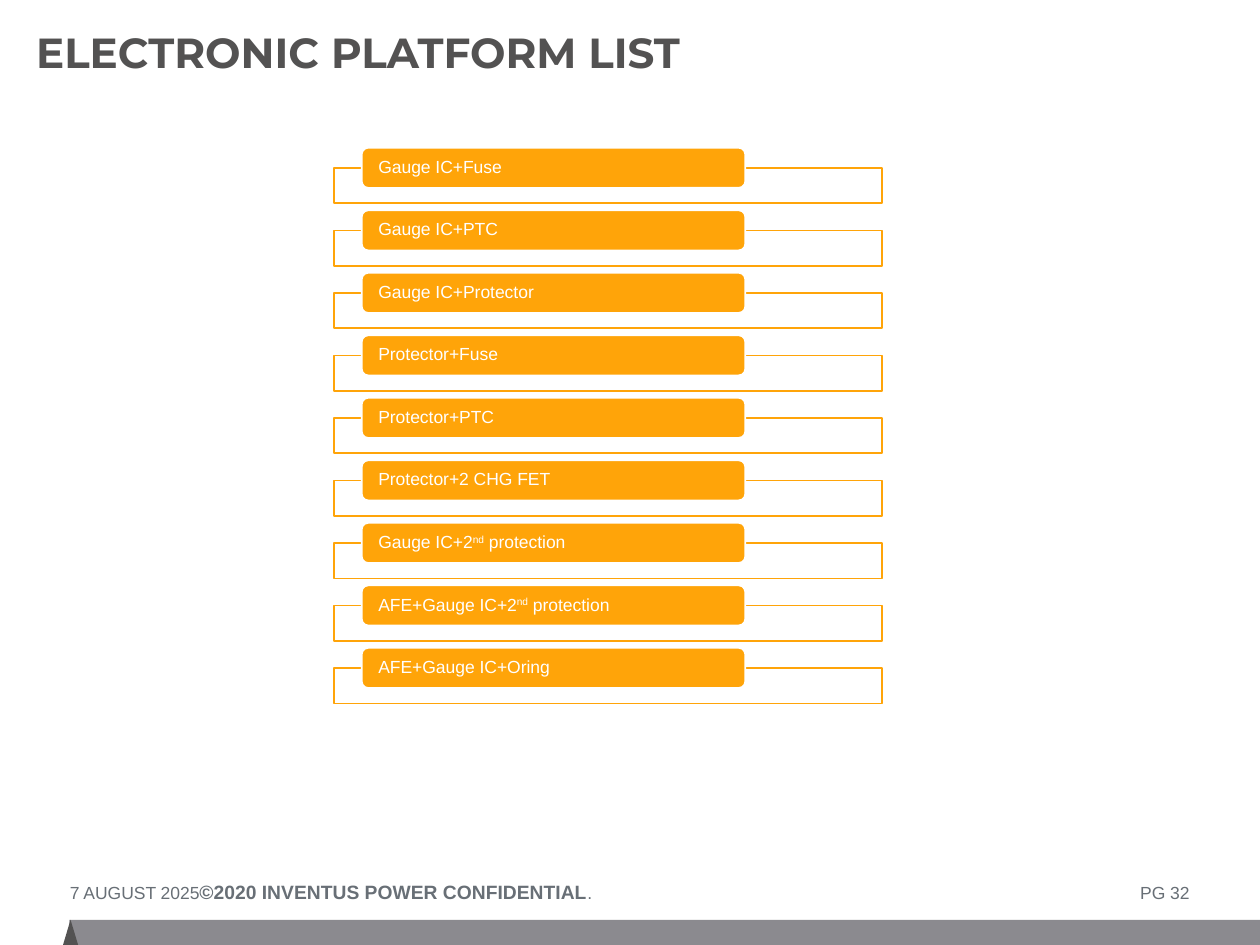
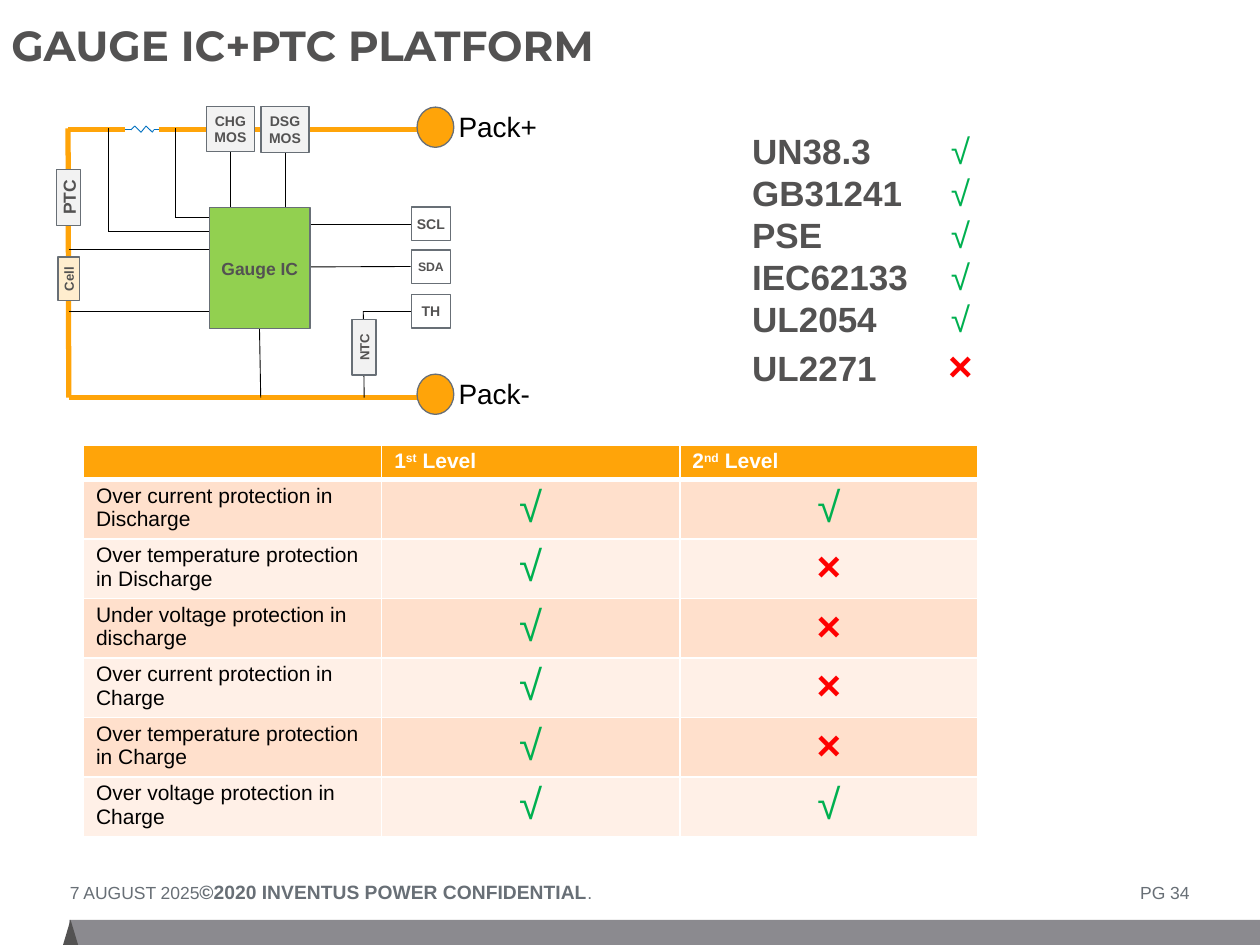
from itertools import pairwise

from lxml import etree
from pptx import Presentation
from pptx.dml.color import RGBColor
from pptx.enum.shapes import MSO_CONNECTOR, MSO_SHAPE
from pptx.enum.text import MSO_ANCHOR, PP_ALIGN
from pptx.oxml.ns import qn
from pptx.util import Pt

RECT, ROUNDED = MSO_SHAPE.RECTANGLE, MSO_SHAPE.ROUNDED_RECTANGLE
OVAL, TRIANGLE = MSO_SHAPE.OVAL, MSO_SHAPE.ISOSCELES_TRIANGLE
STRAIGHT = MSO_CONNECTOR.STRAIGHT
TOP, MIDDLE = MSO_ANCHOR.TOP, MSO_ANCHOR.MIDDLE
LEFT, CENTER = PP_ALIGN.LEFT, PP_ALIGN.CENTER

BODY_FONT, TITLE_FONT = "Arial", "Montserrat"
ORANGE, DARK, SLATE, BAND = "FFA409", "535252", "686F76", "8B8A8F"
WHITE, BLACK, PALE, BLUE = "FFFFFF", "000000", "F2F2F2", "0070C0"
GREEN, RED, CHIP, CELL = "00B050", "FF0000", "92D050", "FFEDCE"
STRIPES = ("FFE0CC", "FFF0E7")
MARKS = {"√": (GREEN, False), "×": (RED, True)}

PLATFORMS = [
    ["Gauge IC+Fuse"],
    ["Gauge IC+PTC"],
    ["Gauge IC+Protector"],
    ["Protector+Fuse"],
    ["Protector+PTC"],
    ["Protector+2 CHG FET"],
    ["Gauge IC+2", "nd", " protection"],
    ["AFE+Gauge IC+2", "nd", " protection"],
    ["AFE+Gauge IC+Oring"],
]
STANDARDS = [
    ("UN38.3", "√"), ("GB31241", "√"), ("PSE", "√"),
    ("IEC62133", "√"), ("UL2054", "√"), ("UL2271", "×"),
]
PROTECTIONS = [
    ("Over current protection in Discharge", "√", "√"),
    ("Over temperature protection in Discharge", "√", "×"),
    ("Under voltage protection in discharge", "√", "×"),
    ("Over current protection in Charge", "√", "×"),
    ("Over temperature protection in Charge", "√", "×"),
    ("Over voltage protection in Charge", "√", "√"),
]


def color(value):
    return RGBColor.from_string(value)


# Basic parts
def add_span(para, text, size, tint, bold=False, font=BODY_FONT, raised=False):
    span = para.add_run()
    span.text = text
    span.font.size = Pt(size)
    span.font.bold = bold
    span.font.name = font
    span.font.color.rgb = color(tint)
    if raised:
        span._r.get_or_add_rPr().set("baseline", "30000")


def add_raised_spans(para, parts, size, tint, bold=False):
    """Every second part is a superscript."""
    for index, text in enumerate(parts):
        add_span(para, text, size, tint, bold, raised=index % 2 == 1)


def add_tabs(para, *stops):
    tabs = etree.SubElement(para._p.get_or_add_pPr(), qn("a:tabLst"))
    for position, alignment in stops:
        etree.SubElement(tabs, qn("a:tab"), pos=str(Pt(position)), algn=alignment)


def set_frame(frame, insets, anchor):
    frame.word_wrap = True
    frame.vertical_anchor = anchor
    frame.margin_left, frame.margin_top, frame.margin_right, frame.margin_bottom = map(Pt, insets)
    return frame


def add_text(page, box, insets=(0, 0, 0, 0), anchor=TOP):
    return set_frame(page.shapes.add_textbox(*map(Pt, box)).text_frame, insets, anchor)


def add_part(page, kind, box, fill, line=None, width=0.75):
    part = page.shapes.add_shape(kind, *map(Pt, box))
    part.shadow.inherit = False
    part.fill.solid()
    part.fill.fore_color.rgb = color(fill)
    if line:
        part.line.color.rgb = color(line)
        part.line.width = Pt(width)
    else:
        part.line.fill.background()
    return part


def add_route(page, origin, points, tint=BLACK, width=0.5):
    left, top = origin
    for (x1, y1), (x2, y2) in pairwise(points):
        wire = page.shapes.add_connector(
            STRAIGHT, Pt(left + x1), Pt(top + y1), Pt(left + x2), Pt(top + y2))
        wire.line.color.rgb = color(tint)
        wire.line.width = Pt(width)
        etree.SubElement(wire.element.spPr, qn("a:effectLst"))


# Shared page: footer band, footer text and title
def add_page(deck, number, title, left, top):
    page = deck.slides.add_slide(deck.slide_layouts[6])
    add_part(page, RECT, (39.6, 525.6, 680.4, 14.4), BAND)
    add_part(page, TRIANGLE, (36, 525.6, 8.64, 14.4), DARK)

    para = add_text(page, (40, 502.8, 640, 13.7)).paragraphs[0]
    add_tabs(para, (243.4, "dec"), (639.8, "r"))
    add_span(para, "7 AUGUST 2025\t", 10, SLATE)
    add_span(para, "©2020 INVENTUS POWER CONFIDENTIAL", 11, SLATE, True)
    add_span(para, f".\tPG {number}", 10, SLATE)

    para = add_text(page, (left, top, 531.4, 46), anchor=MIDDLE).paragraphs[0]
    para.line_spacing = 0.75
    add_span(para, title, 24, DARK, True, TITLE_FONT)
    return page


# Stack of platforms, each a frame with a name pill on its upper edge
def add_platform_stack(page, box):
    left, top, width, height = box
    pitch = height / len(PLATFORMS)
    for index, name in enumerate(PLATFORMS):
        row = top + index * pitch
        add_part(page, RECT, (left, row + 11.6, width, 20.2), WHITE, ORANGE, 1)
        pill = add_part(page, ROUNDED, (left + 15.8, row, 0.7 * width, 23), ORANGE, WHITE, 1)
        para = set_frame(pill.text_frame, (8.4, 0, 8.4, 0), MIDDLE).paragraphs[0]
        para.alignment = LEFT
        para.line_spacing = 0.9
        add_raised_spans(para, name, 10, WHITE)


# Circuit of the battery pack
def add_circuit(page, origin):
    left, top = origin

    def add_block(box, fill, lines, size, rotation=0, upward=False):
        x, y, width, height = box
        block = add_part(page, RECT, (left + x, top + y, width, height), fill, SLATE)
        block.rotation = rotation
        insets = (0, 0, 0, 0) if upward else (3, 3.6, 3, 3.6)
        frame = set_frame(block.text_frame, insets, MIDDLE)
        if upward:
            block.element.find(".//" + qn("a:bodyPr")).set("vert", "vert270")
        for index, line in enumerate(lines):
            para = frame.add_paragraph() if index else frame.paragraphs[0]
            para.alignment = CENTER
            add_span(para, line, size, DARK, True)

    # Power rails
    rails = [
        [(8.9, 14.2), (41.3, 14.2)],
        [(60.7, 14.2), (212.6, 14.2)],
        [(8.9, 13.4), (9.3, 167.2), (218.4, 167.2)],
    ]
    for rail in rails:
        add_route(page, origin, rail, ORANGE, 3)

    # Sense resistor
    resistor = [(41.3, 14.2), (44.9, 14.2), (47, 12), (50.6, 15.6),
                (53.5, 12), (57.1, 15.6), (57.8, 14.2), (60.7, 14.2)]
    add_route(page, origin, resistor, BLUE)

    # Signal wires
    wires = [
        [(9.6, 117.8), (99.6, 117.8)],
        [(9.6, 82.6), (101.8, 82.6)],
        [(31.9, 13.4), (31.9, 72.5), (89.5, 72.5)],
        [(70.5, 13.4), (70.5, 64.3), (89.5, 64.3)],
        [(101.8, 26.4), (101.8, 68.2)],
        [(132.9, 27.1), (132.9, 68.2)],
        [(130.6, 68.2), (206.9, 68.2)],
        [(131.3, 92.6), (204.7, 92.3)],
        [(204.7, 117.8), (177.6, 117.8), (178.1, 167.2)],
        [(118.3, 127.9), (119, 167.2)],
    ]
    for wire in wires:
        add_route(page, origin, wire)

    # Components
    add_block((89.7, 58.6, 57.4, 69.3), CHIP, ["Gauge IC"], 10)
    add_block((3.1, 86.9, 12.2, 25), CELL, ["Cell"], 7.5, upward=True)
    add_block((-6.7, 46, 32, 13.7), PALE, ["PTC"], 10, rotation=270)
    add_block((162, 131.5, 32, 13.7), PALE, ["NTC"], 7.5, rotation=270)
    add_block((119.2, 1, 27.5, 26), PALE, ["DSG", "MOS"], 8)
    add_block((88, 0.7, 27.5, 26), PALE, ["CHG", "MOS"], 8)
    for y, name, size in ((58.2, "SCL", 8), (82.8, "SDA", 7), (108.2, "TH", 8)):
        add_block((205, y, 22.5, 19.2), WHITE, [name], size)

    # Pack terminals
    for y, name in ((1.2, "Pack+"), (153.8, "Pack-")):
        add_part(page, OVAL, (left + 208.3, top + y, 21, 23), ORANGE, SLATE)
        label = add_text(page, (left + 225, top + y - 2, 72, 25), (7.2, 3.6, 7.2, 3.6))
        add_span(label.paragraphs[0], name, 16, BLACK)


# Standards with their marks
def add_standards(page, box):
    panel = add_part(page, RECT, box, WHITE, WHITE)
    frame = set_frame(panel.text_frame, (48.2, 9, 3, 3.6), TOP)
    for index, (name, mark) in enumerate(STANDARDS):
        para = frame.add_paragraph() if index else frame.paragraphs[0]
        para.alignment = LEFT
        add_tabs(para, (119, "ctr"))
        add_span(para, name + "\t", 20, DARK, True)
        tint, bold = MARKS[mark]
        add_span(para, mark, 24 if bold else 20, tint, bold)


# Table of protection levels
def paint_cell(cell, fill, bottom=1):
    cell.margin_top = cell.margin_bottom = Pt(2.6)
    properties = cell._tc.get_or_add_tcPr()
    for side, width in (("L", 1), ("R", 1), ("T", 1), ("B", bottom)):
        edge = etree.SubElement(properties, qn(f"a:ln{side}"), w=str(Pt(width)))
        solid = etree.SubElement(edge, qn("a:solidFill"))
        etree.SubElement(solid, qn("a:srgbClr"), val=WHITE)
    cell.fill.solid()
    cell.fill.fore_color.rgb = color(fill)


def add_protection_table(page, box):
    table = page.shapes.add_table(len(PROTECTIONS) + 1, 3, *map(Pt, box)).table
    for row in table.rows:
        row.height = Pt(31)
    table.rows[0].height = Pt(19)

    for column, heading in enumerate(([], ["1", "st", " Level"], ["2", "nd", " Level"])):
        cell = table.cell(0, column)
        paint_cell(cell, ORANGE, 3)
        para = cell.text_frame.paragraphs[0]
        para.font.size = Pt(12)
        add_raised_spans(para, heading, 12, WHITE, True)

    for row, values in enumerate(PROTECTIONS, 1):
        for column, value in enumerate(values):
            cell = table.cell(row, column)
            paint_cell(cell, STRIPES[(row - 1) % 2])
            para = cell.text_frame.paragraphs[0]
            if value in MARKS:
                para.alignment = CENTER
                add_span(para, value, 24, *MARKS[value])
            else:
                add_span(para, value, 12, BLACK)


def main():
    deck = Presentation()
    deck.slide_width, deck.slide_height = Pt(720), Pt(540)

    page = add_page(deck, 32, "ELECTRONIC PLATFORM LIST", 20.6, 9.6)
    add_platform_stack(page, (190.9, 84.4, 313.2, 321.5))

    page = add_page(deck, 34, "GAUGE IC+PTC PLATFORM", 6.5, 5.8)
    add_protection_table(page, (47.7, 254.5, 511.2, 205))
    add_standards(page, (381.6, 64.8, 236.9, 176.4))
    add_circuit(page, (30, 60))

    deck.save("out.pptx")


if __name__ == "__main__":
    main()
